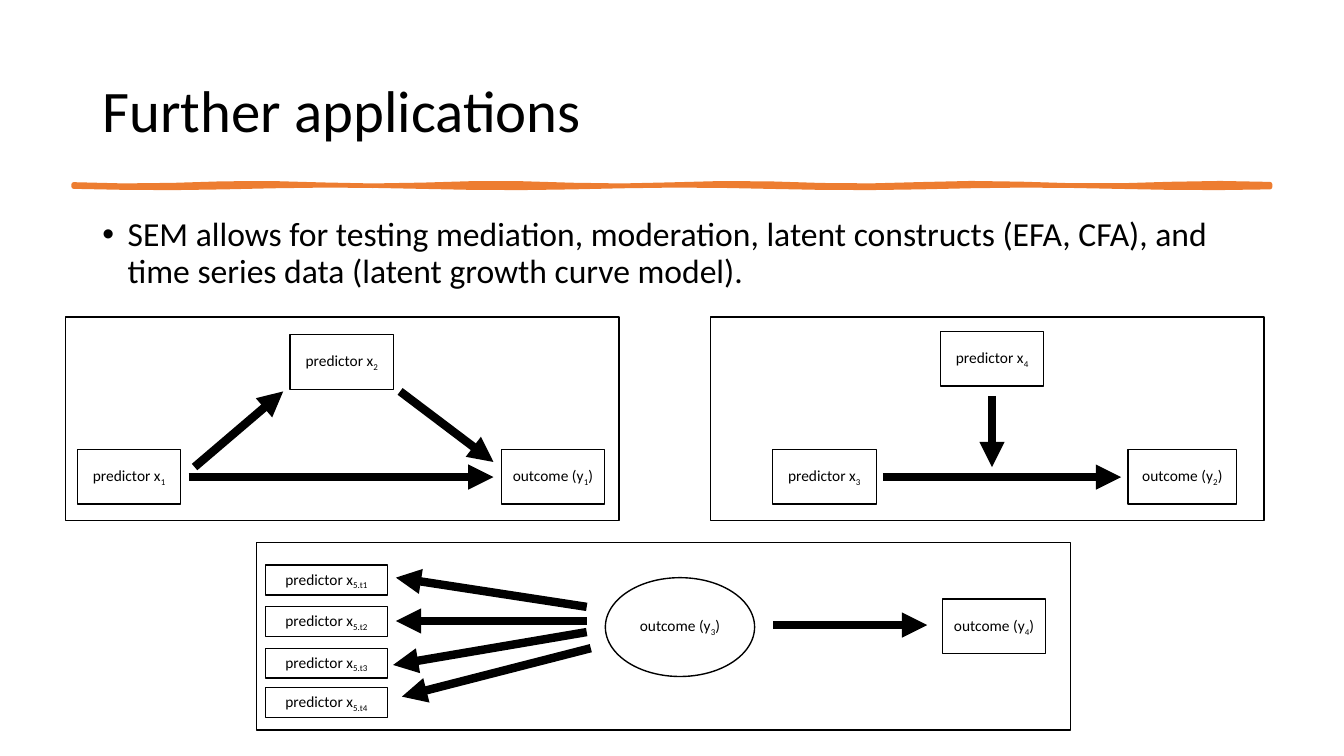
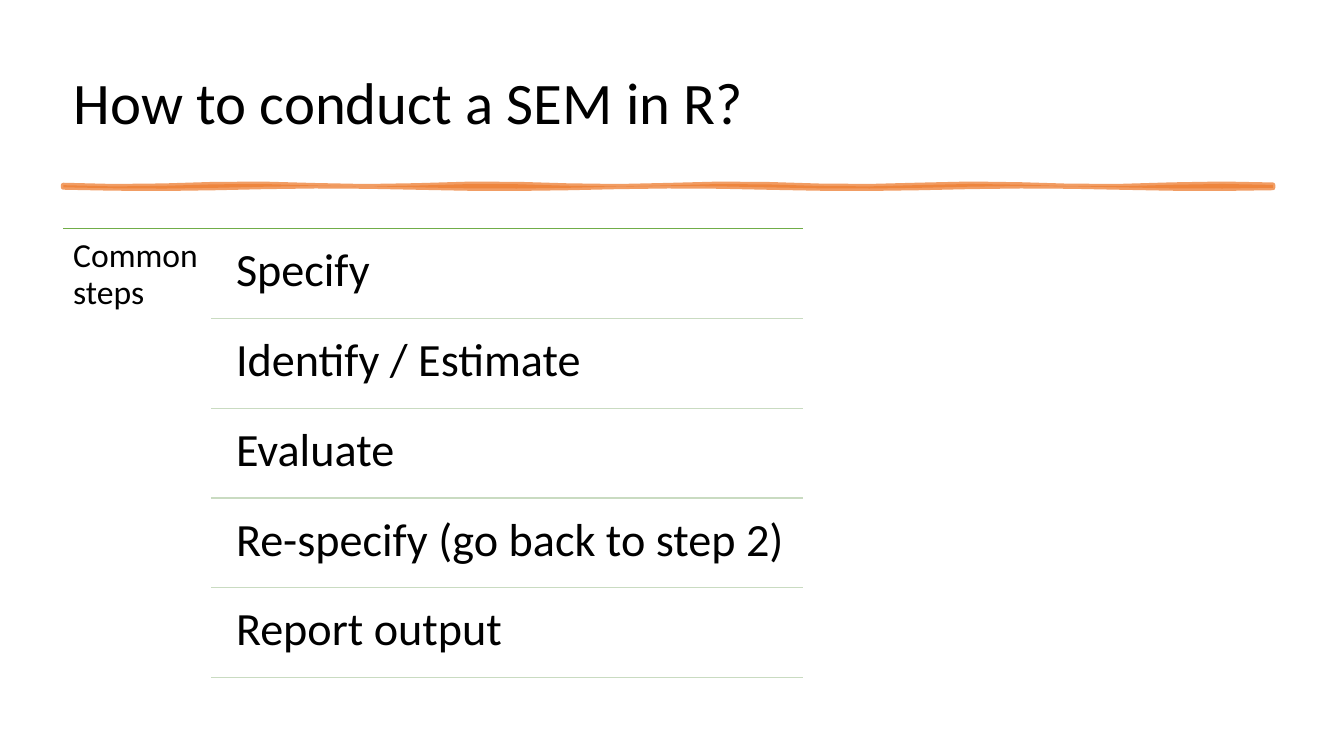
from math import sin
from lxml.etree import SubElement
from pptx import Presentation
from pptx.dml.color import RGBColor
from pptx.enum.shapes import MSO_CONNECTOR as Link, MSO_SHAPE as Preset
from pptx.enum.text import MSO_ANCHOR as Anchor, MSO_AUTO_SIZE as Fit, PP_ALIGN as Align
from pptx.oxml.ns import qn
from pptx.util import Pt

FONT = "Calibri"
BLACK, WHITE, ORANGE = "000000", "FFFFFF", "ED7D31"
GREEN, PALE_GREEN = "70AD47", "C9DBC1"
NODE_WIDTH, NODE_HEIGHT = 73.7, 39


def paint(target, colour):
    target.solid()
    target.fore_color.rgb = RGBColor.from_string(colour)


def place(shape, left, top, width, height):
    shape.left, shape.top = Pt(left), Pt(top)
    shape.width, shape.height = Pt(width), Pt(height)


def add_span(para, text, size, subscript=False):
    span = para.add_run()
    span.text = text
    span.font.name = FONT
    span.font.size = Pt(size)
    paint(span.font.fill, BLACK)
    if subscript:
        span.font._element.set("baseline", "-25000")


def write_text(frame, text, size, inset=None, anchor=Anchor.TOP):
    frame.word_wrap = True
    frame.auto_size = Fit.NONE
    frame.vertical_anchor = anchor
    if inset is not None:
        frame.margin_left = frame.margin_right = Pt(inset)
        frame.margin_top = frame.margin_bottom = Pt(inset)
    para = frame.paragraphs[0]
    para.alignment = Align.LEFT
    para.line_spacing = 0.9
    para.space_before = Pt(0)
    add_span(para, text, size)


def add_title(page, text, box):
    place(page.shapes.title, *box)
    write_text(page.shapes.title.text_frame, text, 42, anchor=Anchor.MIDDLE)


def add_bullet(page, text, box):
    body = page.placeholders[1]
    place(body, *box)
    properties = body.text_frame.paragraphs[0]._p.get_or_add_pPr()
    properties.set("marL", str(Pt(18)))
    properties.set("indent", str(-Pt(18)))
    SubElement(properties, qn("a:buFont"), typeface="Arial")
    SubElement(properties, qn("a:buChar"), char="•")
    write_text(body.text_frame, text, 24)


def add_brush_rule(page, left, top, width, weight, opacity=100):
    steps = 24
    upper, lower = [], []
    for step in range(steps + 1):
        x = Pt(left + width * step / steps)
        upper.append((x, Pt(top + 0.9 * sin(1.3 * step))))
        lower.append((x, Pt(top + 1.5 + 0.9 * sin(0.9 * step))))
    builder = page.shapes.build_freeform(*upper[0])
    builder.add_line_segments(upper[1:] + lower[::-1], close=True)
    stroke = builder.convert_to_shape()
    stroke.shadow.inherit = False
    paint(stroke.fill, ORANGE)
    paint(stroke.line.fill, ORANGE)
    stroke.line.width = Pt(weight)
    SubElement(stroke.line._get_or_add_ln(), qn("a:round"))
    if opacity < 100:
        for colour in stroke._element.spPr.iter(qn("a:srgbClr")):
            SubElement(colour, qn("a:alpha"), val=str(opacity * 1000))


def add_line(group, start, end, colour, weight, arrow=False):
    line = group.shapes.add_connector(Link.STRAIGHT, *map(Pt, start + end))
    paint(line.line.fill, colour)
    line.line.width = Pt(weight)
    if arrow:
        SubElement(line.line._get_or_add_ln(), qn("a:tailEnd"), type="triangle")
    SubElement(line._element.spPr, qn("a:effectLst"))


def add_outline(group, preset, box, fill=None):
    shape = group.shapes.add_shape(preset, *map(Pt, box))
    shape.shadow.inherit = False
    if fill:
        paint(shape.fill, fill)
    else:
        shape.fill.background()
    paint(shape.line.fill, BLACK)
    shape.line.width = Pt(1)
    return shape


def add_node(group, box, word, index, preset=Preset.RECTANGLE):
    frame = add_outline(group, preset, box, WHITE).text_frame
    frame.margin_left = frame.margin_right = Pt(0)
    frame.margin_top = frame.margin_bottom = Pt(0)
    frame.vertical_anchor = Anchor.MIDDLE
    para = frame.paragraphs[0]
    para.alignment = Align.CENTER
    outcome = word == "outcome"
    add_span(para, "outcome (y" if outcome else "predictor x", 11)
    add_span(para, index, 11, subscript=True)
    if outcome:
        add_span(para, ")", 11)


def add_panel(page, box, nodes, arrows):
    group = page.shapes.add_group_shape()
    left, top = box[:2]
    for (x, y, width, height), *label in nodes:
        add_node(group, (left + x, top + y, width, height), *label)
    for x1, y1, x2, y2 in arrows:
        add_line(group, (left + x1, top + y1), (left + x2, top + y2), BLACK, 6, arrow=True)
    add_outline(group, Preset.RECTANGLE, box)


def add_mediation(page, box):
    size = (NODE_WIDTH, NODE_HEIGHT)
    nodes = [
        ((311.3, 94.7, *size), "outcome", "1"),
        ((8.6, 94.7, *size), "predictor", "1"),
        ((160.5, 12.8, *size), "predictor", "2"),
    ]
    arrows = [(88, 114.5, 305.7, 114.5), (239, 53.3, 305.7, 103.7), (92.2, 107.3, 155.5, 53.3)]
    add_panel(page, box, nodes, arrows)


def add_moderation(page, box):
    nodes = [
        ((298, 94.7, 77.8, NODE_HEIGHT), "outcome", "2"),
        ((44, 94.7, 74.3, NODE_HEIGHT), "predictor", "3"),
        ((164.2, 10.5, NODE_WIDTH, NODE_HEIGHT), "predictor", "4"),
    ]
    arrows = [(123, 114.5, 293.2, 114.5), (201, 56.4, 201, 107.3)]
    add_panel(page, box, nodes, arrows)


def add_growth_curve(page, box):
    nodes = [((249, 25.2, 106.6, 70.6), "outcome", "3", Preset.OVAL)]
    nodes += [
        ((6.1, y, 87.2, 21.4), "predictor", f"5.t{wave}")
        for wave, y in enumerate((16.3, 46, 75.6, 103.7), 1)
    ]
    nodes.append(((489.8, 40.5, NODE_WIDTH, NODE_HEIGHT), "outcome", "4"))
    arrows = [
        (238.6, 75.6, 103.7, 110.2),
        (235.7, 56.2, 99.4, 56.2),
        (235.7, 46.1, 99.4, 25.2),
        (235.7, 64.1, 97.4, 87.6),
        (368.8, 59.1, 478.9, 59.1),
    ]
    add_panel(page, box, nodes, arrows)


def add_label(group, text, size, inset, box):
    frame = group.shapes.add_textbox(*map(Pt, box)).text_frame
    write_text(frame, text, size, inset)


def add_steps(page, box, heading, steps):
    group = page.shapes.add_group_shape()
    left, top, width, height = box
    right, column, pitch = left + width, left + 105.4, height / len(steps)
    add_line(group, (left, top), (right, top), GREEN, 1)
    add_label(group, heading, 24, 7.2, (left, top, 105.8, height))
    for row, step in enumerate(steps):
        row_top, row_bottom = top + pitch * row, top + pitch * (row + 1)
        add_label(group, step, 33, 10.1, (column + 7.9, row_top + 2.9, 415, 61.2))
        add_line(group, (column, row_bottom), (right, row_bottom), PALE_GREEN, 1)


def build_applications(deck):
    page = deck.slides.add_slide(deck.slide_layouts[1])
    add_title(page, "Further applications", (66, 28.8, 828, 104.4))
    add_brush_rule(page, 52.6, 131.8, 854.6, 3.25)
    add_bullet(
        page,
        "SEM allows for testing mediation, moderation, latent constructs (EFA, CFA), "
        "and time series data (latent growth curve model).",
        (66, 152, 828, 334.8),
    )
    add_mediation(page, (46.8, 226.3, 395.3, 145.4))
    add_moderation(page, (507.6, 226.3, 395.3, 145.4))
    add_growth_curve(page, (183.4, 387.4, 581.2, 134))


def build_procedure(deck):
    page = deck.slides.add_slide(deck.slide_layouts[5])
    add_title(page, "How to conduct a SEM in R?", (45.4, 18.7, 867.6, 113))
    add_brush_rule(page, 45.2, 132.3, 864, 3.5, opacity=75)
    steps = [
        "Specify",
        "Identify / Estimate",
        "Evaluate",
        "Re-specify (go back to step 2)",
        "Report output",
    ]
    add_steps(page, (45.2, 163.4, 528.6, 320.5), "Common steps", steps)


def main():
    deck = Presentation()
    deck.slide_width, deck.slide_height = Pt(960), Pt(540)
    build_applications(deck)
    build_procedure(deck)
    deck.save("out.pptx")


if __name__ == "__main__":
    main()
